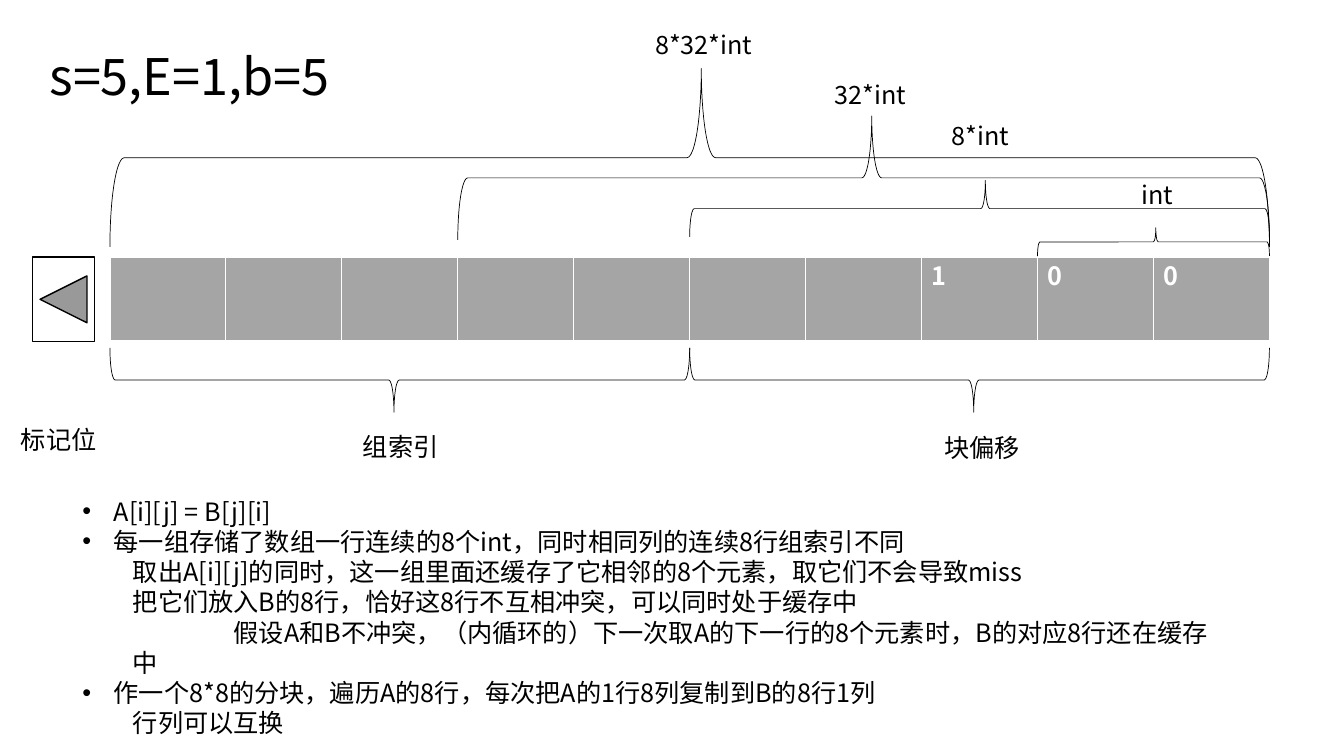
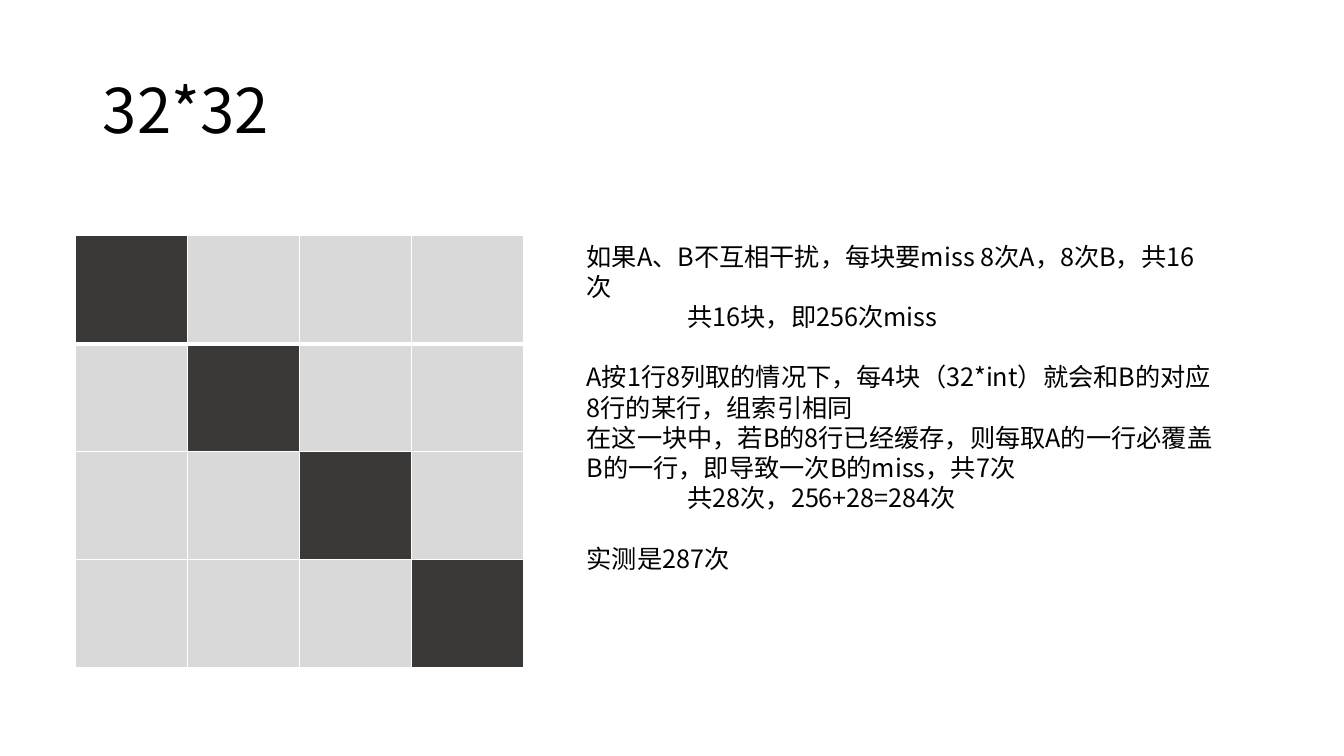
from lxml.etree import SubElement
from pptx import Presentation
from pptx.dml.color import RGBColor
from pptx.enum.shapes import MSO_SHAPE
from pptx.enum.text import MSO_ANCHOR, PP_ALIGN
from pptx.oxml.ns import qn
from pptx.util import Inches, Pt

COLORS = {"ink": "000000", "paper": "FFFFFF", "address": "A5A5A5",
          "block": "D9D9D9", "diagonal": "3B3838"}
FONT = "Noto Sans CJK SC"
BODY_SIZE = 18
BODY_LINE = 21.6

ADDRESS_TITLE = ("s=5,E=1,b=5", (0.39, 0.33, 11.5, 0.92), 36)
ADDRESS_BITS = ["", "", "", "", "", "", "", "1", "0", "0"]
ADDRESS_LEFT, ADDRESS_TOP = 1.09, 2.55
BIT_WIDTH, BIT_HEIGHT = 1.15, 0.84
TAG_BUTTON = (0.32, 2.55, 0.62, 0.84)
UP, DOWN = 90, 270
SPANS = [
    (0, 5, 3.45, 0.64, DOWN),
    (5, 10, 3.45, 0.64, DOWN),
    (8, 10, 2.26, 0.28, UP),
    (5, 10, 1.79, 0.56, UP),
    (3, 10, 1.15, 1.23, UP),
    (0, 10, 0.68, 1.77, UP),
]
SPAN_LABELS = [
    ("块偏移", 9.27, 4.24, 1.38),
    ("组索引", 3.5, 4.23, 1.38),
    ("标记位", 0.11, 4.16, 1.38),
    ("int", 11.22, 1.73, 0.96),
    ("8*int", 9.34, 1.14, 0.96),
    ("32*int", 8.18, 0.74, 0.96),
    ("8*32*int", 6.4, 0.24, 1.19),
]
LABEL_HEIGHT = 0.4
STRATEGY_BOX = (0.72, 4.87, 11.46, 2.52)
STRATEGY = [
    ("bullet", "A[i][j] = B[j][i]"),
    ("bullet", "每一组存储了数组一行连续的8个int，同时相同列的连续8行组索引不同"),
    ("detail", "取出A[i][j]的同时，这一组里面还缓存了它相邻的8个元素，取它们不会导致miss"),
    ("detail", "把它们放入B的8行，恰好这8行不互相冲突，可以同时处于缓存中"),
    ("aside", "假设A和B不冲突，（内循环的）下一次取A的下一行的8个元素时，B的对应8行还在缓存中"),
    ("bullet", "作一个8*8的分块，遍历A的8行，每次把A的1行8列复制到B的8行1列"),
    ("detail", "行列可以互换"),
]

MATRIX_TITLE = ("32*32", (0.92, 0.4, 11.5, 1.45), 44)
MATRIX_LEFT, MATRIX_TOP = 0.75, 2.34
MATRIX_SIZE, BLOCK_WIDTH, BLOCK_HEIGHT = 4, 1.11, 1.07
MISSES_BOX = (5.72, 2.34, 6.47, 3.74)
MISSES = [
    ("plain", "如果A、B不互相干扰，每块要miss 8次A，8次B，共16次"),
    ("result", "共16块，即256次miss"),
    ("section", "A按1行8列取的情况下，每4块（32*int）就会和B的对应8行的某行，组索引相同"),
    ("plain", "在这一块中，若B的8行已经缓存，则每取A的一行必覆盖B的一行，即导致一次B的miss，共7次"),
    ("result", "共28次，256+28=284次"),
    ("section", "实测是287次"),
]

STYLES = {
    "plain": (0, 0, 0, 0),
    "bullet": (0, 0.31, -0.31, 0),
    "detail": (1, 0.5, 0, 0),
    "aside": (1, 0.5, 1, 0),
    "result": (0, 0, 1, 0),
    "section": (0, 0, 0, BODY_LINE),
}


def color(name):
    return RGBColor.from_string(COLORS[name])


def place(box):
    return [Inches(length) for length in box]


def set_font(paragraph, size, ink="ink", bold=False):
    font = paragraph.font
    font.name, font.size, font.bold = FONT, Pt(size), bold
    font.color.rgb = color(ink)
    defaults = paragraph._p.pPr.find(qn("a:defRPr"))
    SubElement(defaults, qn("a:ea")).set("typeface", FONT)


def set_indent(paragraph, style):
    level, margin, indent, before = STYLES[style]
    paragraph.level = level
    paragraph.line_spacing = Pt(BODY_LINE)
    paragraph.space_before = Pt(before)
    properties = paragraph._p.get_or_add_pPr()
    properties.set("marL", str(Inches(margin)))
    properties.set("indent", str(Inches(indent)))
    if style == "bullet":
        SubElement(properties, qn("a:buFont")).set("typeface", "Arial")
        SubElement(properties, qn("a:buChar")).set("char", "•")


def add_slide(deck, title, box, size):
    slide = deck.slides.add_slide(deck.slide_layouts[5])
    heading = slide.shapes.title
    heading.left, heading.top, heading.width, heading.height = place(box)
    frame = heading.text_frame
    frame.text = title
    frame.vertical_anchor = MSO_ANCHOR.MIDDLE
    paragraph = frame.paragraphs[0]
    paragraph.alignment = PP_ALIGN.LEFT
    paragraph.line_spacing = 0.9
    set_font(paragraph, size)
    return slide


def add_text(slide, box, lines):
    frame = slide.shapes.add_textbox(*place(box)).text_frame
    frame.word_wrap = True
    for number, (style, line) in enumerate(lines):
        paragraph = frame.add_paragraph() if number else frame.paragraphs[0]
        paragraph.text = line
        set_indent(paragraph, style)
        set_font(paragraph, BODY_SIZE)


def add_borders(cell, bottom):
    properties = cell._tc.get_or_add_tcPr()
    for side, width in (("lnL", 1), ("lnR", 1), ("lnT", 1), ("lnB", bottom)):
        border = SubElement(properties, qn("a:" + side))
        border.set("w", str(Pt(width)))
        fill = SubElement(border, qn("a:solidFill"))
        SubElement(fill, qn("a:srgbClr")).set("val", COLORS["paper"])


def add_grid(slide, left, top, width, height, rows):
    count = len(rows[0])
    box = place((left, top, width * count, height * len(rows)))
    table = slide.shapes.add_table(len(rows), count, *box).table
    table.first_row = table.horz_banding = False
    for column in table.columns:
        column.width = Inches(width)
    for r, row in enumerate(rows):
        table.rows[r].height = Inches(height)
        for c, (value, shade) in enumerate(row):
            cell = table.cell(r, c)
            add_borders(cell, bottom=1 if r else 3)
            cell.fill.solid()
            cell.fill.fore_color.rgb = color(shade)
            if value:
                cell.text = value
                paragraph = cell.text_frame.paragraphs[0]
                paragraph.line_spacing = Pt(BODY_LINE)
                set_font(paragraph, BODY_SIZE, "paper", True)


def add_outlined(slide, kind, box, line_width):
    shape = slide.shapes.add_shape(kind, *place(box))
    shape.shadow.inherit = False
    shape.line.color.rgb = color("ink")
    shape.line.width = Pt(line_width)
    return shape


def add_span(slide, first, last, top, height, direction):
    length = (last - first) * BIT_WIDTH
    middle_x = ADDRESS_LEFT + (first + last) / 2 * BIT_WIDTH
    middle_y = top + height / 2
    box = (middle_x - height / 2, middle_y - length / 2, height, length)
    brace = add_outlined(slide, MSO_SHAPE.LEFT_BRACE, box, 0.5)
    brace.fill.background()
    brace.rotation = direction
    brace.adjustments[0] = 0.08
    brace.adjustments[1] = 0.49


deck = Presentation()
deck.slide_width, deck.slide_height = Inches(13.33), Inches(7.5)

address = add_slide(deck, *ADDRESS_TITLE)
add_grid(address, ADDRESS_LEFT, ADDRESS_TOP, BIT_WIDTH, BIT_HEIGHT,
         [[(bit, "address") for bit in ADDRESS_BITS]])
tag = add_outlined(address, MSO_SHAPE.ACTION_BUTTON_BACK_OR_PREVIOUS, TAG_BUTTON, 1)
tag.fill.solid()
tag.fill.fore_color.rgb = color("paper")
for span in SPANS:
    add_span(address, *span)
for label, left, top, width in SPAN_LABELS:
    add_text(address, (left, top, width, LABEL_HEIGHT), [("plain", label)])
add_text(address, STRATEGY_BOX, STRATEGY)

matrix = add_slide(deck, *MATRIX_TITLE)
add_grid(matrix, MATRIX_LEFT, MATRIX_TOP, BLOCK_WIDTH, BLOCK_HEIGHT,
         [[("", "diagonal" if r == c else "block") for c in range(MATRIX_SIZE)]
          for r in range(MATRIX_SIZE)])
add_text(matrix, MISSES_BOX, MISSES)

deck.save("out.pptx")
